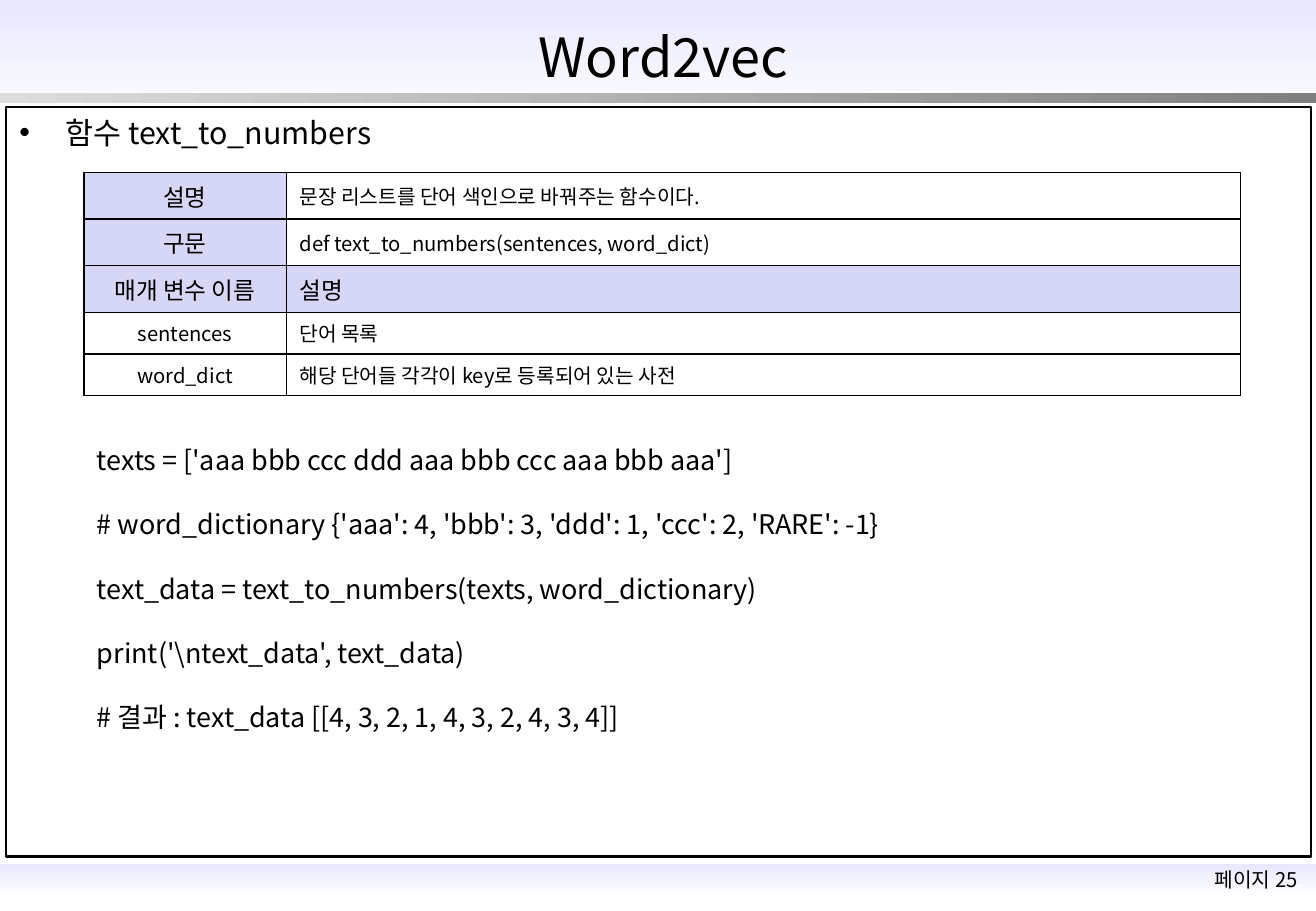
from pptx import Presentation
from pptx.dml.color import RGBColor
from pptx.enum.shapes import MSO_SHAPE
from pptx.enum.text import MSO_ANCHOR, MSO_AUTO_SIZE, PP_ALIGN
from pptx.oxml.ns import qn
from pptx.util import Inches, Pt
from lxml.etree import SubElement

W, H = Inches(10.83), Inches(7.5)
FONT = "Noto Sans CJK KR"
COLORS = {"ink": "000000", "paper": "FFFFFF", "lavender": "E7E7FF",
          "label": "D6D6F5", "silver": "DDDDDD", "gray": "808080"}
ROWS = [
    ("설명", "문장 리스트를 단어 색인으로 바꿔주는 함수이다."),
    ("구문", "def text_to_numbers(sentences, word_dict)"),
    ("매개 변수 이름", "설명"),
    ("sentences", "단어 목록"),
    ("word_dict", "해당 단어들 각각이 key로 등록되어 있는 사전"),
]
HEADING_ROW = 2
CODE = [
    "texts = ['aaa bbb ccc ddd aaa bbb ccc aaa bbb aaa']",
    "# word_dictionary {'aaa': 4, 'bbb': 3, 'ddd': 1, 'ccc': 2, 'RARE': -1}",
    "text_data = text_to_numbers(texts, word_dictionary)",
    r"print('\ntext_data', text_data)",
    "# 결과 : text_data [[4, 3, 2, 1, 4, 3, 2, 4, 3, 4]]",
]


def rgb(name):
    """Return the named colour."""
    return RGBColor.from_string(COLORS[name])


def at(left, top, width, height):
    """Turn percentages of the slide into lengths."""
    return [int(share * side / 100)
            for share, side in zip((left, top, width, height), (W, H, W, H))]


def apply(obj, formats):
    """Set each attribute from a dict of format values."""
    for name, value in formats.items():
        setattr(obj, name, value)


def write(tf, lines, size, align=PP_ALIGN.LEFT, gap=0):
    """Fill a text frame with evenly spaced paragraphs."""
    for i, line in enumerate(lines):
        p = tf.add_paragraph() if i else tf.paragraphs[0]
        apply(p, {"alignment": align, "space_before": Pt(gap if i else 0)})
        r = p.add_run()
        r.text = line
        apply(r.font, {"size": Pt(size), "name": FONT})
        r.font.color.rgb = rgb("ink")
        SubElement(r.font._element, qn("a:ea"), typeface=FONT)


def add_band(s, box, first, last, angle):
    """Add a borderless rectangle with a two-colour gradient."""
    sp = s.shapes.add_shape(MSO_SHAPE.RECTANGLE, *at(*box))
    sp.shadow.inherit = False
    sp.line.fill.background()
    sp.fill.gradient()
    sp.fill.gradient_angle = angle
    for stop, color, position in zip(sp.fill.gradient_stops, (first, last), (0, 1)):
        stop.color.rgb = rgb(color)
        stop.position = position


def add_frame(s, box):
    """Add the outline around the content."""
    sp = s.shapes.add_shape(MSO_SHAPE.RECTANGLE, *at(*box))
    sp.shadow.inherit = False
    sp.fill.background()
    sp.line.color.rgb = rgb("ink")
    sp.line.width = Pt(1.5)


def add_text(s, box, lines, size, **formats):
    """Add a wrapping text box."""
    tf = s.shapes.add_textbox(*at(*box)).text_frame
    tf.word_wrap = True
    write(tf, lines, size, **formats)


def fill_placeholder(s, sp, box, text, size, anchor, align):
    """Place a template placeholder in front and write its text."""
    apply(sp, dict(zip(("left", "top", "width", "height"), at(*box))))
    tf = sp.text_frame
    apply(tf, {"auto_size": MSO_AUTO_SIZE.NONE, "word_wrap": True,
               "vertical_anchor": anchor})
    write(tf, [text], size, align)
    s.shapes.element.append(sp.element)


def add_bullet(p, indent):
    """Give a paragraph a round bullet with a hanging indent."""
    pPr = p._p.get_or_add_pPr()
    pPr.set("marL", str(indent))
    pPr.set("indent", str(-indent))
    SubElement(pPr, qn("a:buChar"), char="•")


def add_borders(cell):
    """Draw thin lines on all sides of a cell."""
    tcPr = cell._tc.get_or_add_tcPr()
    for side in ("lnL", "lnR", "lnT", "lnB"):
        ln = SubElement(tcPr, qn(f"a:{side}"), w=str(Pt(1)))
        fill = SubElement(ln, qn("a:solidFill"))
        SubElement(fill, qn("a:srgbClr"), val=COLORS["ink"])


def add_function_table(s, box):
    """Add the table that describes the function."""
    left, top, width, height = at(*box)
    table = s.shapes.add_table(len(ROWS), 2, left, top, width, height).table
    apply(table, {"first_row": False, "horz_banding": False})
    label_width = int(width * 0.175)
    for column, size in zip(table.columns, (label_width, width - label_width)):
        column.width = size
    for i, texts in enumerate(ROWS):
        table.rows[i].height = int(height * (0.21 if i <= HEADING_ROW else 0.19))
        for j, text in enumerate(texts):
            cell = table.cell(i, j)
            heading = i == HEADING_ROW or (j == 0 and i < HEADING_ROW)
            apply(cell, {"vertical_anchor": MSO_ANCHOR.MIDDLE,
                         "margin_left": Inches(0.11), "margin_right": Inches(0.11),
                         "margin_top": Inches(0.05), "margin_bottom": Inches(0.05)})
            write(cell.text_frame, [text], 14 if heading else 12,
                  PP_ALIGN.LEFT if j else PP_ALIGN.CENTER)
            add_borders(cell)
            if heading:
                cell.fill.solid()
                cell.fill.fore_color.rgb = rgb("label")
            else:
                cell.fill.background()


def main():
    """Build the slide and save it."""
    prs = Presentation()
    apply(prs, {"slide_width": W, "slide_height": H})
    s = prs.slides.add_slide(prs.slide_layouts[1])
    title, body = s.placeholders

    add_band(s, (0, 94.8, 100, 3.6), "lavender", "paper", 270)
    add_band(s, (0, 0, 100, 13.33), "lavender", "paper", 270)
    add_band(s, (0, 10.27, 100, 1.07), "silver", "gray", 0)
    add_frame(s, (0.46, 11.73, 99.17, 82.27))
    add_text(s, (90.9, 94.53, 9.1, 4), ["페이지 25"], 12, align=PP_ALIGN.CENTER)

    fill_placeholder(s, title, (3.69, 2.27, 93.44, 7.73), "Word2vec", 32,
                     MSO_ANCHOR.MIDDLE, PP_ALIGN.CENTER)
    add_bullet(body.text_frame.paragraphs[0], Inches(0.38))
    fill_placeholder(s, body, (0.55, 11.87, 97.41, 5.33), "함수 text_to_numbers", 18,
                     MSO_ANCHOR.TOP, PP_ALIGN.LEFT)
    add_function_table(s, (6.37, 18.93, 87.9, 21.47))
    add_text(s, (6.46, 48, 77.75, 33.6), CODE, 16, gap=19)
    prs.save("out.pptx")


if __name__ == "__main__":
    main()
